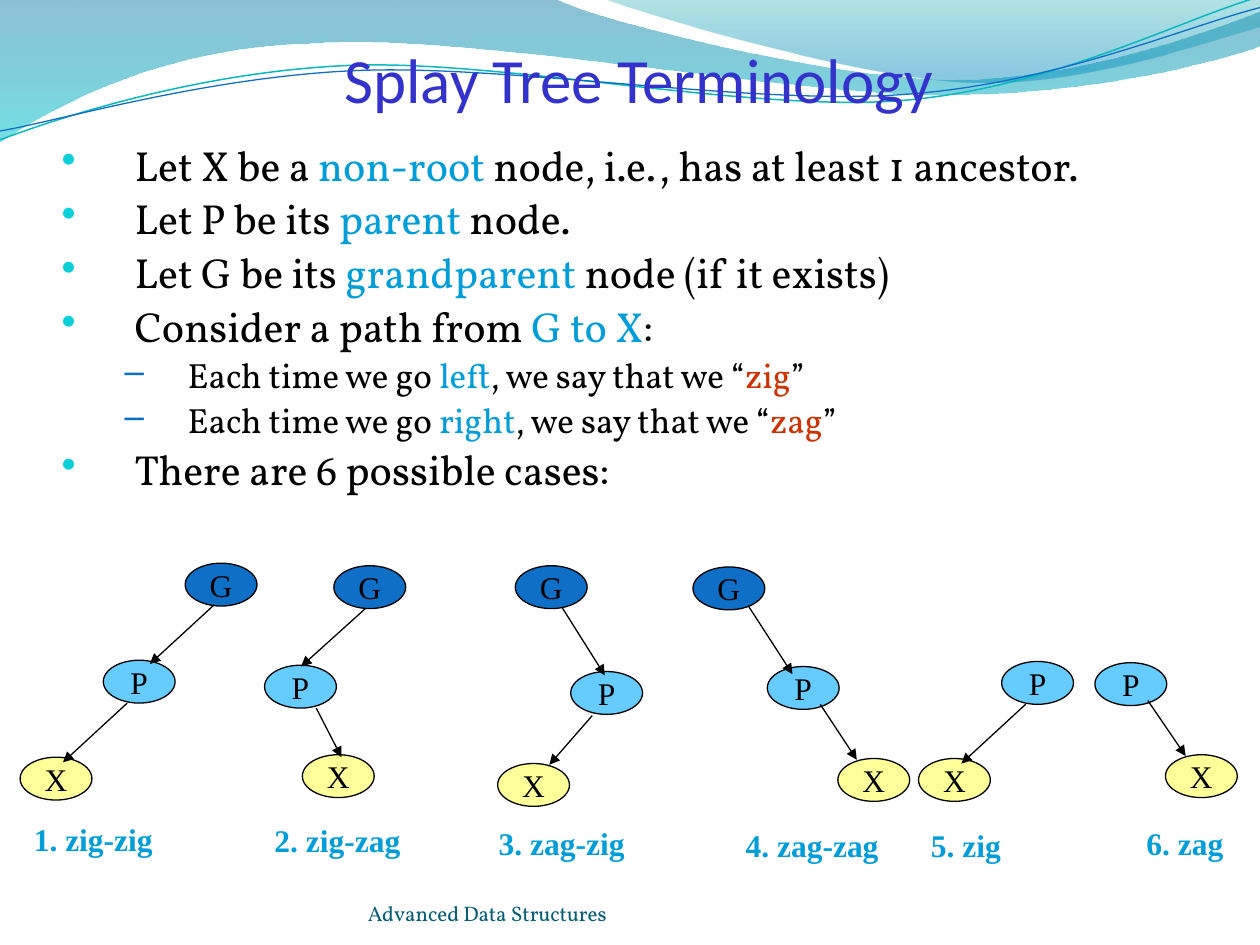
from dataclasses import dataclass
from itertools import cycle
from math import cos, radians, sin

from lxml import etree
from pptx import Presentation
from pptx.dml.color import RGBColor
from pptx.enum.shapes import MSO_CONNECTOR, MSO_SHAPE
from pptx.enum.text import MSO_ANCHOR, PP_ALIGN
from pptx.oxml import parse_xml
from pptx.oxml.ns import qn
from pptx.util import Inches, Pt

LINE, OVAL = MSO_CONNECTOR.STRAIGHT, MSO_SHAPE.OVAL
TOP, MIDDLE, BOTTOM = MSO_ANCHOR.TOP, MSO_ANCHOR.MIDDLE, MSO_ANCHOR.BOTTOM
LEFT, CENTER = PP_ALIGN.LEFT, PP_ALIGN.CENTER
NS = 'xmlns:a="http://schemas.openxmlformats.org/drawingml/2006/main"'

BLACK = RGBColor(0, 0, 0)
BLUE = RGBColor(0x00, 0x9D, 0xD9)
RED = RGBColor(0xCC, 0x33, 0x00)
VIOLET = RGBColor(0x33, 0x33, 0xCC)
NAVY = RGBColor(0x0F, 0x6F, 0xC6)
SKY = RGBColor(0x66, 0xCC, 0xFF)
YELLOW = RGBColor(0xFF, 0xFF, 0x99)
AQUA = RGBColor(0x0B, 0xD0, 0xD9)
TEAL = RGBColor(0x0A, 0xB8, 0xBF)
SLATE = RGBColor(0x04, 0x5D, 0x75)

SERIF, BOOK, SANS = "Times New Roman", "Vollkorn", "Calibri"
COLS, ROWS = 100, 75
NODE_W, NODE_H = 5.7, 3.4
FILLS = {"G": NAVY, "P": SKY, "X": YELLOW}

Spot = tuple[float, float]


@dataclass
class Wave:
    box: tuple[float, float, float, float]
    start: Spot
    curves: list[tuple[float, ...]]
    stops: tuple[tuple[int, str, int], ...] = ()
    color: RGBColor = TEAL
    width: float = 0.75
    turn: float = 0


@dataclass
class Tree:
    label: str
    spot: Spot
    width: float
    nodes: dict[str, Spot]
    links: list[tuple[float, float, float, float]]


@dataclass
class Item:
    text: str
    level: int = 0


WAVES = [
    Wave((-0.1, -0.1, 100.2, 11.4), (0, 0),
         [(44, -0.1),
          (47.6, 1.7, 66.4, 6.3, 75.8, 6.3),
          (85.3, 6.3, 95.8, 2.6, 100, 0.9), (100.1, 3.6),
          (98.3, 4.4, 87, 7.6, 74.6, 7.5),
          (62.2, 7.5, 38.2, 2.8, 25.7, 3.4),
          (12.9, 3.6, 4.6, 8.3, -0.1, 11.3), (0, 0)],
         ((0, "0074A1", 45), (100, "00C6CF", 55))),
    Wave((47.9, -0.1, 52.1, 7), (47.9, -0.1),
         [(50.9, 1.1, 68.2, 6.2, 76.9, 6.5),
          (85.6, 6.9, 96.1, 3.2, 100, 2.1), (100, 0), (47.9, -0.1)],
         ((0, "00A1A9", 30), (80, "008BBF", 45))),
    Wave((-0.2, 2.2, 100.2, 7.1), (0, 11.1),
         [(4.8, 9.3, 15.8, 5.7, 27.7, 5.2),
          (39.5, 4.7, 59.3, 8.9, 71.3, 8),
          (83.3, 7.1, 93.8, 1.5, 99.8, -0.2)], width=0.85, turn=-2.7),
    Wave((-0.2, 3, 100.3, 5.8), (0, 10.4),
         [(4.7, 9.6, 16.4, 6.1, 28.3, 5.6),
          (40.3, 5.1, 59.7, 8.4, 71.7, 7.5),
          (83.6, 6.7, 94.1, 2.1, 100, 0.6)], color=NAVY, turn=-2.7),
]

ITEMS = [
    Item("Let X be a |non-root| node, i.e., has at least 1 ancestor."),
    Item("Let P be its |parent |node."),
    Item("Let G be its |grandparent |node (if it exists)"),
    Item("Consider a path from |G to X|:"),
    Item("Each time we go |left|, we say that we “|zig|”", 1),
    Item("Each time we go |right|, we say that we “|zag|”", 1),
    Item("There are 6 possible cases:"),
]
LEVELS = [(24, 0.58, -0.58, "•", AQUA), (20, 1, -0.5, "–", NAVY)]

TREES = [
    Tree("1. zig-zig", (1.7, 64.6), 11.6,
         {"G": (14.7, 44.7), "P": (8.2, 52.4), "X": (1.6, 60.1)},
         [(17, 48, 11.9, 52.7), (10.1, 55.8, 5, 60.5)]),
    Tree("2. zig-zag", (20.8, 64.7), 12.1,
         {"G": (26.5, 44.9), "P": (21, 52.8), "X": (24, 59.9)},
         [(29, 48.3, 23.9, 52.9), (25.1, 56.2, 27.1, 60.1)]),
    Tree("3. zag-zig", (38.6, 64.9), 12.1,
         {"G": (40.9, 44.9), "P": (45.3, 53.3), "X": (39.5, 60.6)},
         [(44.6, 48.2, 48, 53.6), (47, 56.8, 43.6, 60.7)]),
    Tree("4. zag-zag", (58.2, 65.1), 12.7,
         {"G": (55, 45), "P": (60.9, 52.9), "X": (66.5, 60.2)},
         [(59.4, 48.1, 62.9, 53.5), (65.1, 55.9, 68, 60.3)]),
    Tree("5. zig", (72.9, 65.1), 7.6,
         {"P": (79.5, 52.5), "X": (72.9, 60.2)},
         [(81.4, 55.9, 76.3, 60.6)]),
    Tree("6. zag", (90, 64.9), 8.1,
         {"P": (86.9, 52.6), "X": (92.5, 59.9)},
         [(91.1, 55.6, 94.1, 60)]),
]

deck = Presentation()
deck.slide_width, deck.slide_height = Inches(10), Inches(7.5)
slide = deck.slides.add_slide(deck.slide_layouts[5])
shapes = slide.shapes


def grid(*vals: float) -> list[int]:
    sides = cycle((deck.slide_width / COLS, deck.slide_height / ROWS))
    return [round(val * side) for val, side in zip(vals, sides)]


def style(para, size: float, face: str, color: RGBColor, bold: bool = False) -> None:
    font = para.font
    font.size, font.name, font.bold = Pt(size), face, bold
    font.color.rgb = color


def local(wave: Wave, x: float, y: float) -> list[int]:
    left, top, wide, high = wave.box
    dx, dy = x - left - wide / 2, y - top - high / 2
    c, s = cos(radians(-wave.turn)), sin(radians(-wave.turn))
    return grid(dx * c - dy * s + wide / 2, dx * s + dy * c + high / 2)


def add_step(road, tag: str, wave: Wave, vals: tuple[float, ...]) -> None:
    step = etree.SubElement(road, qn(tag))
    for x, y in zip(vals[::2], vals[1::2]):
        px, py = local(wave, x, y)
        etree.SubElement(step, qn("a:pt"), x=str(px), y=str(py))


def draw_wave(wave: Wave) -> None:
    pen = shapes.build_freeform(*grid(*wave.start))
    pen.add_line_segments([grid(*curve[-2:]) for curve in wave.curves], close=False)
    shape = pen.convert_to_shape()
    shape.left, shape.top, shape.width, shape.height = grid(*wave.box)
    shape.rotation = wave.turn
    road = shape._element.spPr.find(".//" + qn("a:path"))
    for step in list(road):
        road.remove(step)
    road.set("w", str(shape.width))
    road.set("h", str(shape.height))
    add_step(road, "a:moveTo", wave, wave.start)
    for curve in wave.curves:
        add_step(road, "a:lnTo" if len(curve) == 2 else "a:cubicBezTo", wave, curve)
    shape.shadow.inherit = False
    shape.fill.background()
    if not wave.stops:
        shape.line.color.rgb, shape.line.width = wave.color, Pt(wave.width)
        return
    etree.SubElement(road, qn("a:close"))
    shape.line.fill.background()
    stops = "".join(f'<a:gs pos="{pos}000"><a:srgbClr val="{tint}">'
                    f'<a:alpha val="{alpha}000"/></a:srgbClr></a:gs>'
                    for pos, tint, alpha in wave.stops)
    fill = parse_xml(f'<a:gradFill {NS} rotWithShape="1"><a:gsLst>{stops}</a:gsLst>'
                     '<a:lin ang="5400000" scaled="1"/></a:gradFill>')
    props = shape._element.spPr
    props.replace(props.find(qn("a:noFill")), fill)


def draw_text(box: tuple[float, ...], text: str, size: float, face: str,
              color: RGBColor, bold: bool = False) -> object:
    frame = shapes.add_textbox(*grid(*box)).text_frame
    frame.text = text
    style(frame.paragraphs[0], size, face, color, bold)
    return frame


def draw_node(name: str, spot: Spot) -> None:
    node = shapes.add_shape(OVAL, *grid(*spot, NODE_W, NODE_H))
    node.shadow.inherit = False
    node.fill.solid()
    node.fill.fore_color.rgb = FILLS[name]
    node.line.color.rgb, node.line.width = BLACK, Pt(0.75)
    frame = node.text_frame
    frame.text, frame.word_wrap, frame.vertical_anchor = name, False, MIDDLE
    frame.paragraphs[0].alignment = CENTER
    style(frame.paragraphs[0], 18, SERIF, BLACK)


def draw_link(ends: tuple[float, ...]) -> None:
    link = shapes.add_connector(LINE, *grid(*ends))
    link.line.color.rgb, link.line.width = BLACK, Pt(0.75)
    etree.SubElement(link.line._get_or_add_ln(), qn("a:tailEnd"), type="triangle")
    etree.SubElement(link._element.spPr, qn("a:effectLst"))


def draw_tree(tree: Tree) -> None:
    for name, spot in tree.nodes.items():
        draw_node(name, spot)
    for ends in tree.links:
        draw_link(ends)
    frame = draw_text((*tree.spot, tree.width, 4), tree.label, 18, SERIF, BLUE, True)
    frame.word_wrap = False


def draw_item(para, item: Item) -> None:
    size, margin, indent, mark, tint = LEVELS[item.level]
    para.level, para.line_spacing, para.alignment = item.level, 0.9, LEFT
    style(para, size, BOOK, BLACK)
    props = para._p.get_or_add_pPr()
    props.set("marL", str(Inches(margin)))
    props.set("indent", str(Inches(indent)))
    last = props.find(qn("a:lnSpc"))
    for part in (f'<a:spcBef {NS}><a:spcPct val="20000"/></a:spcBef>',
                 f'<a:buClr {NS}><a:srgbClr val="{tint}"/></a:buClr>',
                 f'<a:buFontTx {NS}/>', f'<a:buChar {NS} char="{mark}"/>'):
        last.addnext(parse_xml(part))
        last = last.getnext()
    for text, shade in zip(item.text.split("|"), cycle((BLACK, BLUE, BLACK, RED))):
        run = para.add_run()
        run.text, run.font.color.rgb = text, shade


for wave in WAVES:
    draw_wave(wave)

title = shapes.title
shapes._spTree.append(title._element)
title.left, title.top, title.width, title.height = grid(3, 1.6, 95.4, 7.6)
head = title.text_frame
head.text, head.vertical_anchor, head.word_wrap = "Splay Tree Terminology", BOTTOM, True
head.margin_left = head.margin_right = head.margin_bottom = 0
head.paragraphs[0].alignment = CENTER
style(head.paragraphs[0], 36, SANS, VIOLET)

body = shapes.add_textbox(*grid(3.9, 11, 93.7, 31.3)).text_frame
body.word_wrap, body.vertical_anchor = True, TOP
for row, item in enumerate(ITEMS):
    draw_item(body.add_paragraph() if row else body.paragraphs[0], item)

for tree in TREES:
    draw_tree(tree)

foot = draw_text((29.2, 69.5, 36.7, 4), "Advanced Data Structures", 12, BOOK, SLATE)
foot.word_wrap, foot.vertical_anchor = True, BOTTOM
foot.margin_left = foot.margin_right = foot.margin_top = foot.margin_bottom = 0

deck.save("out.pptx")
